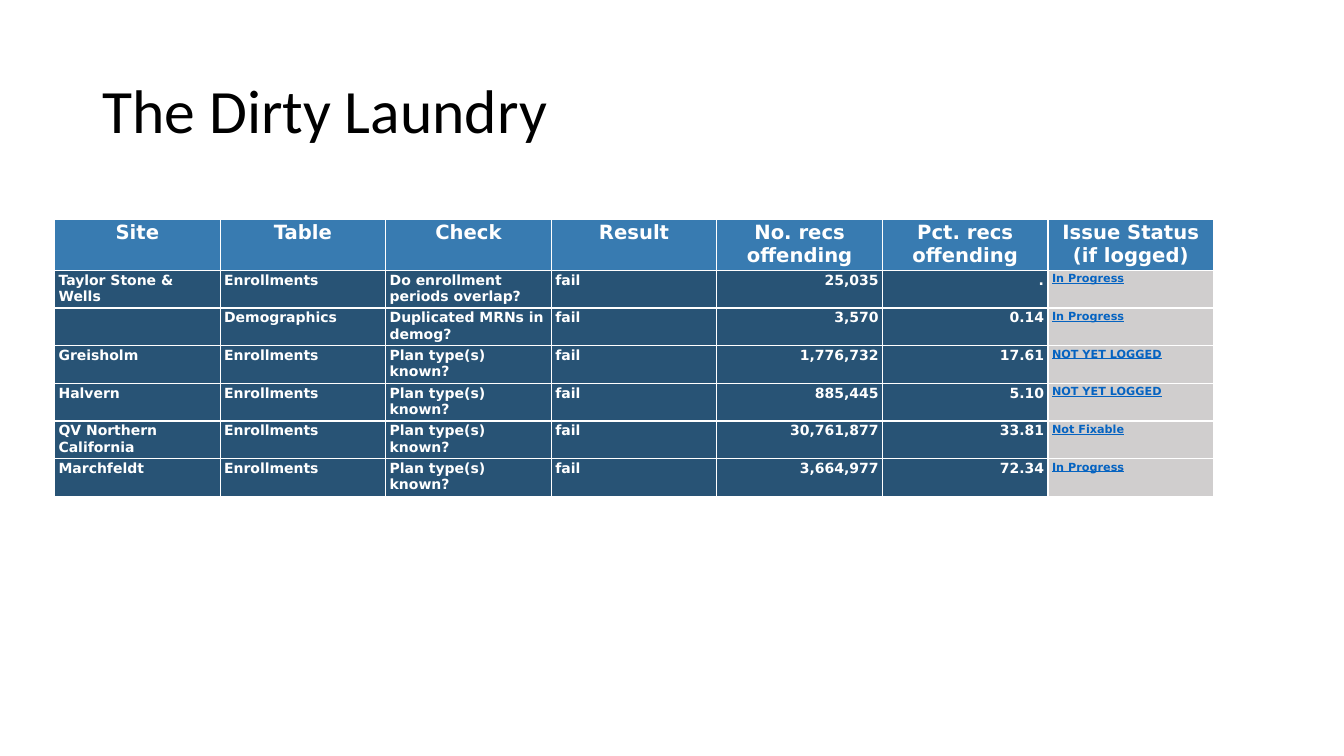
import pptx
import pptx.util
import pptx.dml.color
import pptx.enum.text
import pptx.oxml
import pptx.oxml.ns

Pt = pptx.util.Pt
ALIGN = pptx.enum.text.PP_ALIGN
ANCHOR = pptx.enum.text.MSO_ANCHOR

COLORS = {
    "head": "387BB1",
    "body": "285375",
    "status": "D0CECE",
    "link": "0563C1",
    "white": "FFFFFF",
    "black": "000000",
}

HEADS = ["Site", "Table", "Check", "Result", "No. recs offending",
         "Pct. recs offending", "Issue Status (if logged)"]
PLAN = "Plan type(s) known?"
ISSUES = [
    ("Taylor Stone & Wells", "Enrollments", "Do enrollment periods overlap?",
     "25,035", ".", "In Progress"),
    ("", "Demographics", "Duplicated MRNs in demog?",
     "3,570", "0.14", "In Progress"),
    ("Greisholm", "Enrollments", PLAN, "1,776,732", "17.61", "NOT YET LOGGED"),
    ("Halvern", "Enrollments", PLAN, "885,445", "5.10", "NOT YET LOGGED"),
    ("QV Northern California", "Enrollments", PLAN,
     "30,761,877", "33.81", "Not Fixable"),
    ("Marchfeldt", "Enrollments", PLAN, "3,664,977", "72.34", "In Progress"),
]


class Deck:
    def __init__(self, width, height):
        self.show = pptx.Presentation()
        self.show.slide_width = Pt(width)
        self.show.slide_height = Pt(height)
        self.slide = self.show.slides.add_slide(self.show.slide_layouts[6])

    def color(self, name):
        return pptx.dml.color.RGBColor.from_string(COLORS[name])

    def style(self, para, face, size, color, bold=False, line=False):
        for run in para.runs:
            run.font.name = face
            run.font.size = Pt(size)
            run.font.bold = bold
            run.font.underline = line
            run.font.color.rgb = self.color(color)

    def title(self, text, left, top, width, height):
        box = self.slide.shapes.add_textbox(
            Pt(left), Pt(top), Pt(width), Pt(height))
        frame = box.text_frame
        frame.word_wrap = True
        frame.vertical_anchor = ANCHOR.MIDDLE
        frame.text = text
        para = frame.paragraphs[0]
        para.line_spacing = 0.9
        self.style(para, "Calibri", 44, "black")

    def border(self, cell):
        props = cell._tc.get_or_add_tcPr()
        space = pptx.oxml.ns.nsdecls("a")
        for side in "LRTB":
            props.append(pptx.oxml.parse_xml(
                f'<a:ln{side} {space} w="12700"><a:solidFill>'
                f'<a:srgbClr val="{COLORS["white"]}"/>'
                f'</a:solidFill></a:ln{side}>'))

    def cell(self, cell, text, fill, size, color, align, line):
        self.border(cell)
        cell.fill.solid()
        cell.fill.fore_color.rgb = self.color(fill)
        cell.margin_left = cell.margin_right = Pt(2.88)
        cell.margin_top = cell.margin_bottom = Pt(1.44)
        cell.text_frame.text = text
        para = cell.text_frame.paragraphs[0]
        para.alignment = align
        self.style(para, "DejaVu Sans", size, color, True, line)

    def table(self, rows, left, top, width, high, low):
        """Draw a header row of height high above body rows of height low."""
        cols = len(rows[0])
        full = high + low * (len(rows) - 1)
        grid = self.slide.shapes.add_table(
            len(rows), cols, Pt(left), Pt(top), Pt(width), Pt(full)).table
        grid.horz_banding = False
        for col in grid.columns:
            col.width = Pt(width / cols)
        for r, row in enumerate(rows):
            grid.rows[r].height = Pt(low if r else high)
            for c, text in enumerate(row):
                if r == 0:
                    look = ("head", 14, "white", ALIGN.CENTER, False)
                elif c == cols - 1:
                    look = ("status", 8, "link", ALIGN.LEFT, True)
                else:
                    align = ALIGN.RIGHT if c in (4, 5) else ALIGN.LEFT
                    look = ("body", 10, "white", align, False)
                self.cell(grid.cell(r, c), text, *look)


def main():
    deck = Deck(960, 540)
    deck.title("The Dirty Laundry", 66, 28.75, 828, 104.4)
    rows = [HEADS] + [(*issue[:3], "fail", *issue[3:]) for issue in ISSUES]
    deck.table(rows, 39, 156.5, 828, 36.6, 26.3)
    deck.show.save("out.pptx")


if __name__ == "__main__":
    main()
